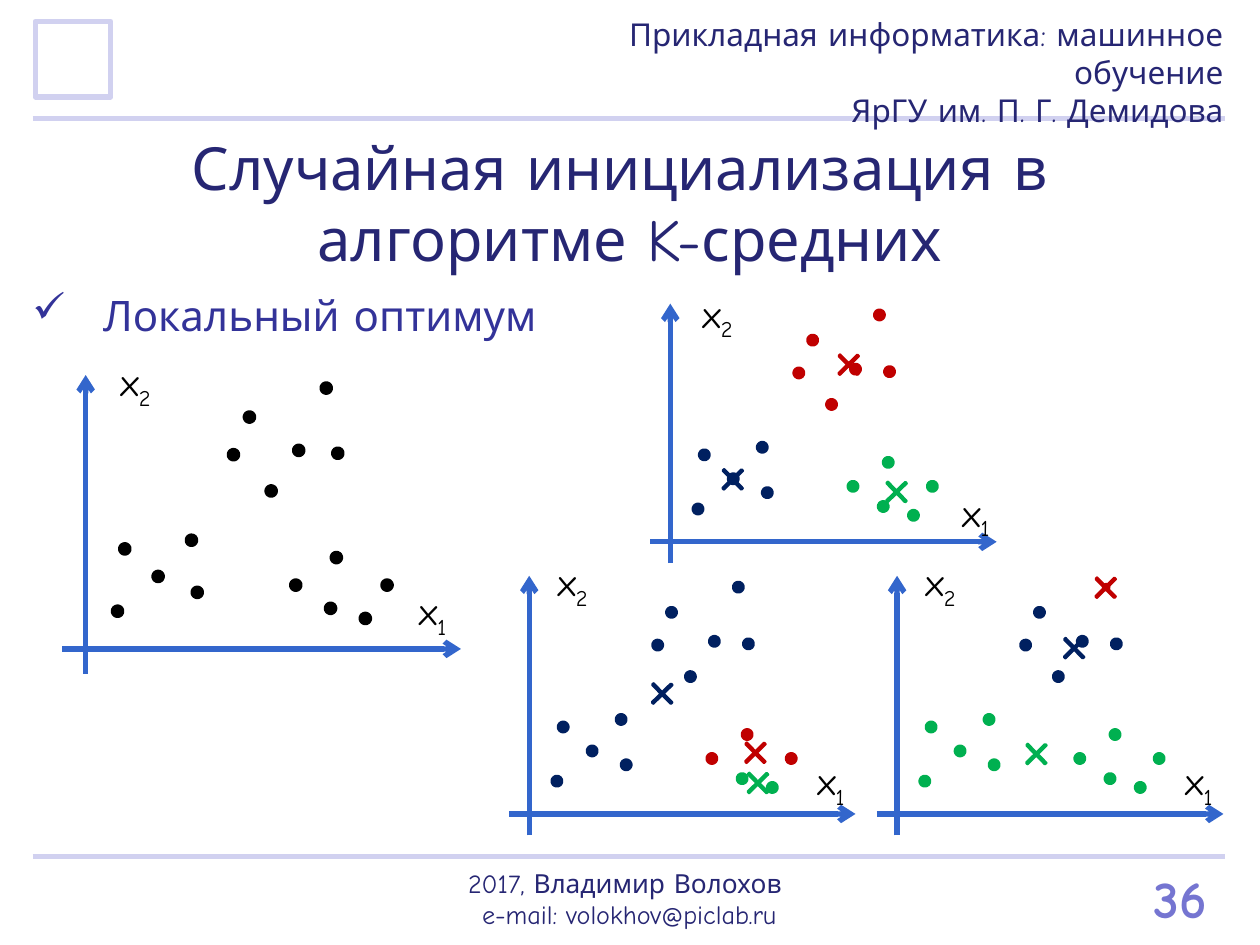
import pptx
import pptx.dml.color
import pptx.enum.shapes
import pptx.enum.text
import pptx.oxml
import pptx.oxml.ns
import pptx.util

RGBColor = pptx.dml.color.RGBColor
PALE = RGBColor(0xD1, 0xD1, 0xF0)
LILAC = RGBColor(0x75, 0x75, 0xD1)
INDIGO = RGBColor(0x26, 0x26, 0x73)
VIOLET = RGBColor(0x33, 0x33, 0x99)
AXIS_BLUE = RGBColor(0x33, 0x66, 0xCC)
BLACK = RGBColor(0, 0, 0)
CLUSTERS = {
    "K": BLACK,
    "N": RGBColor(0x00, 0x20, 0x60),
    "R": RGBColor(0xC0, 0x00, 0x00),
    "G": RGBColor(0x00, 0xB0, 0x50),
}

COLUMNS, ROWS = 100, 75
SHAPE = pptx.enum.shapes.MSO_SHAPE
ALIGN = pptx.enum.text.PP_ALIGN
ANCHOR = pptx.enum.text.MSO_ANCHOR

POINTS = [
    (2.2, 2.6), (5, 5), (7.3, 7.5), (7.7, 3.9), (2.7, 6.9),
    (10.2, 13.4), (14.7, 13.7), (16.6, 18), (11.3, 16), (17.4, 13.5), (12.8, 10.9),
    (20.8, 4.4), (17.3, 6.3), (19.3, 2.1), (16.9, 2.8), (14.5, 4.4),
]

PLOTS = [
    {"origin": (6.8, 51.5), "clusters": "K" * 16, "centroids": {}, "scale": 1.15},
    {"origin": (53.2, 43), "clusters": "NNNNNRRRRRRGGGGG", "nudge": 0.3,
     "centroids": {"R": (14.15, 14.05), "G": (17.95, 3.95), "N": (4.95, 4.95)}},
    {"origin": (42, 64.6), "clusters": "NNNNNNNNNNNRRGGR",
     "centroids": {"R": (17.95, 4.85), "G": (18.15, 2.45), "N": (10.55, 9.55)}},
    {"origin": (71.2, 64.6), "clusters": "GGGGGNNRNNNGGGGG",
     "centroids": {"R": (16.55, 17.95), "G": (11.05, 4.75), "N": (14.05, 13.15)}},
]


class SlideBuilder:
    """Draws styled elements on the current slide in grid units."""

    font_name = "Comic Neue"

    def __init__(self, presentation):
        self.column = presentation.slide_width / COLUMNS
        self.row = presentation.slide_height / ROWS
        self.slide = presentation.slides.add_slide(presentation.slide_layouts[6])

    def box(self, left, top, width, height):
        return (round(left * self.column), round(top * self.row),
                round(width * self.column), round(height * self.row))

    def line(self, start, end, color, arrow=False, shapes=None):
        connector = (shapes or self.slide.shapes).add_connector(
            pptx.enum.shapes.MSO_CONNECTOR.STRAIGHT, *self.box(*start, *end))
        connector.line.color.rgb = color
        connector.line.width = pptx.util.Pt(3)
        if arrow:
            tail = pptx.oxml.parse_xml(
                f'<a:tailEnd {pptx.oxml.ns.nsdecls("a")} type="arrow"/>')
            connector.line._get_or_add_ln().append(tail)
        connector._element.spPr.append(
            pptx.oxml.parse_xml(f'<a:effectLst {pptx.oxml.ns.nsdecls("a")}/>'))

    def shape(self, kind, center, size, color, weight, filled=True, shapes=None):
        left, top = (value - size / 2 for value in center)
        shape = (shapes or self.slide.shapes).add_shape(kind, *self.box(left, top, size, size))
        shape.shadow.inherit = False
        if filled:
            shape.fill.solid()
            shape.fill.fore_color.rgb = color
        else:
            shape.fill.background()
        shape.line.color.rgb = color
        shape.line.width = pptx.util.Pt(weight)
        return shape

    def text(self, place, lines, size, color, align=ALIGN.LEFT, bold=False,
             anchor=ANCHOR.TOP, bullet=None, subscript=None):
        frame = self.slide.shapes.add_textbox(*self.box(*place)).text_frame
        frame.word_wrap = True
        frame.vertical_anchor = anchor
        font_format = {"name": self.font_name, "size": pptx.util.Pt(size), "bold": bold}
        for index, line in enumerate(lines):
            paragraph = frame.add_paragraph() if index else frame.paragraphs[0]
            paragraph.alignment = align
            if bullet:
                self.add_bullet(paragraph, bullet)
            runs = [paragraph.add_run()]
            runs[0].text = line
            if subscript:
                runs.append(paragraph.add_run())
                runs[1].text = subscript
                runs[1]._r.get_or_add_rPr().set("baseline", "-25000")
            for run in runs:
                for name, value in font_format.items():
                    setattr(run.font, name, value)
                run.font.color.rgb = color

    def add_bullet(self, paragraph, character):
        indent = round(5.6 * self.column)
        properties = paragraph._p.get_or_add_pPr()
        for name, value in {"marL": indent, "indent": -indent}.items():
            properties.set(name, str(value))
        properties.append(pptx.oxml.parse_xml(
            f'<a:buChar {pptx.oxml.ns.nsdecls("a")} char="{character}"/>'))

    def plot(self, origin, clusters, centroids, scale=1, nudge=0):
        shapes = self.slide.shapes.add_group_shape().shapes

        def at(x, y):
            return origin[0] + x * scale, origin[1] - y * scale

        for cluster, position in centroids.items():
            cross = self.shape(SHAPE.CROSS, at(*position), 2.1, CLUSTERS[cluster], 1.5, shapes=shapes)
            cross.adjustments[0] = 0.466
            cross.rotation = 45.6
        for start, end in (((0, -1.7), (0, 18.9)), ((-1.6, 0), (25.9, 0))):
            self.line(at(*start), at(*end), AXIS_BLUE, arrow=True, shapes=shapes)
        for cluster, point in zip(clusters, POINTS):
            weight = 2 if clusters.count(cluster) == 1 else 4.5
            self.shape(SHAPE.OVAL, at(*point), 0.4 * scale, CLUSTERS[cluster], weight, shapes=shapes)
        width, height = 5.1, 4.7
        for subscript, position in (("1", (23.95, 2.65)), ("2", (3.45, 18.45))):
            x, y = at(*position)
            place = (x - width / 2 + nudge, y - height / 2 + nudge, width, height)
            self.text(place, ["x"], 22, BLACK, ALIGN.CENTER, subscript=subscript)


def main():
    presentation = pptx.Presentation()
    presentation.slide_width = pptx.util.Inches(10)
    presentation.slide_height = pptx.util.Inches(7.5)
    builder = SlideBuilder(presentation)

    for rule_row in (9.4, 68):
        builder.line((2.6, rule_row), (97.2, rule_row), PALE)
    builder.shape(SHAPE.RECTANGLE, (5.8, 4.7), 6, PALE, 3, filled=False)
    builder.text((90.6, 68.2, 7.1, 6.1), ["36"], 30, LILAC, bold=True)
    builder.text((35.1, 68.8, 29.7, 5),
                 ["2017, Владимир Волохов ", "e-mail: volokhov@piclab.ru"],
                 15, INDIGO, ALIGN.CENTER, anchor=ANCHOR.MIDDLE)
    builder.text((0, 9.9, 100, 12.5),
                 ["Случайная инициализация в ", "алгоритме K-средних"],
                 34, INDIGO, ALIGN.CENTER)
    builder.text((1.6, 22.5, 48.4, 5), ["Локальный оптимум"], 24, VIOLET, bullet="✓")
    for plot in PLOTS:
        builder.plot(**plot)
    builder.text((38, 0.7, 60.1, 7.1),
                 ["Прикладная информатика: машинное обучение", "ЯрГУ им. П. Г. Демидова"],
                 18, INDIGO, ALIGN.RIGHT)
    presentation.save("out.pptx")


if __name__ == "__main__":
    main()
